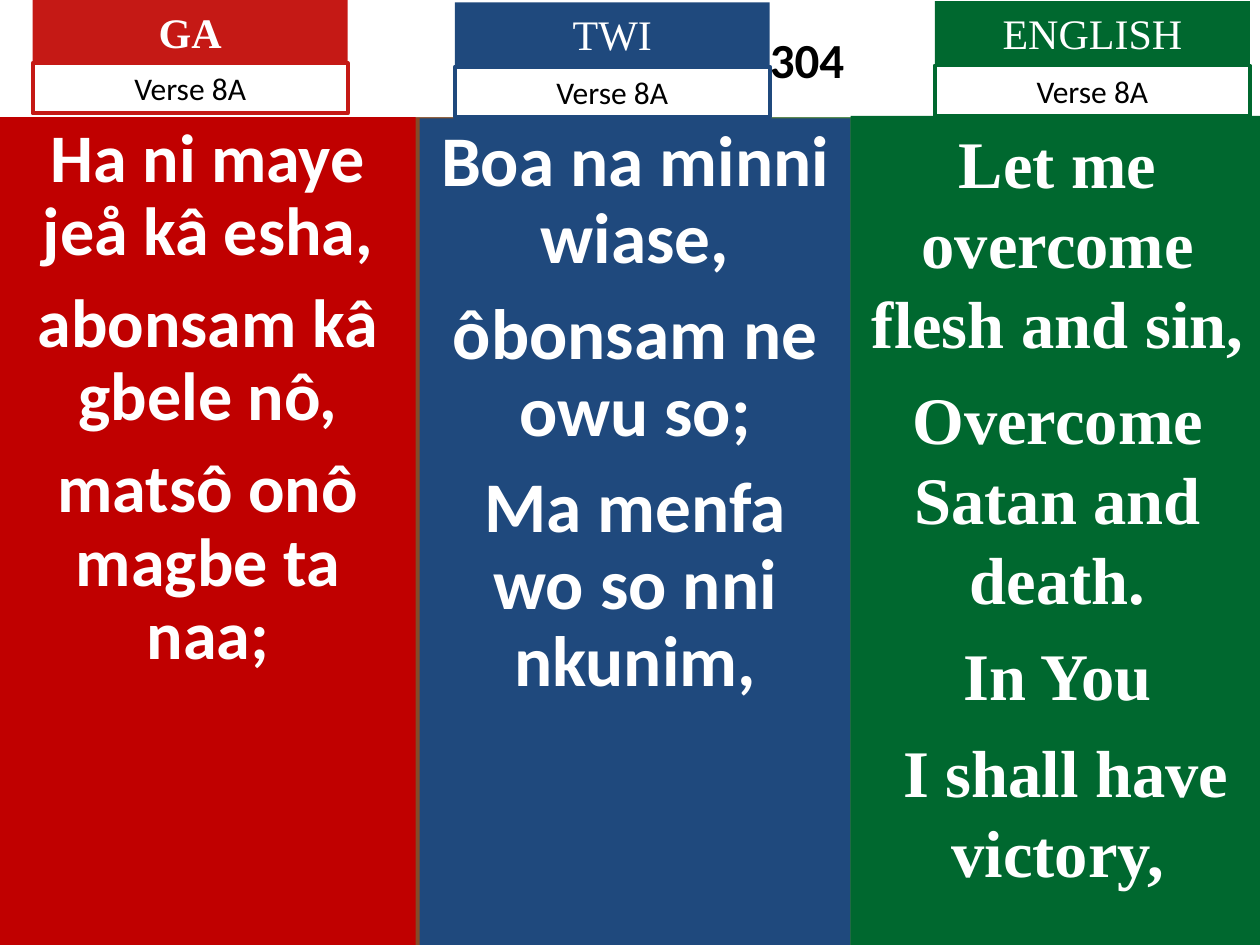
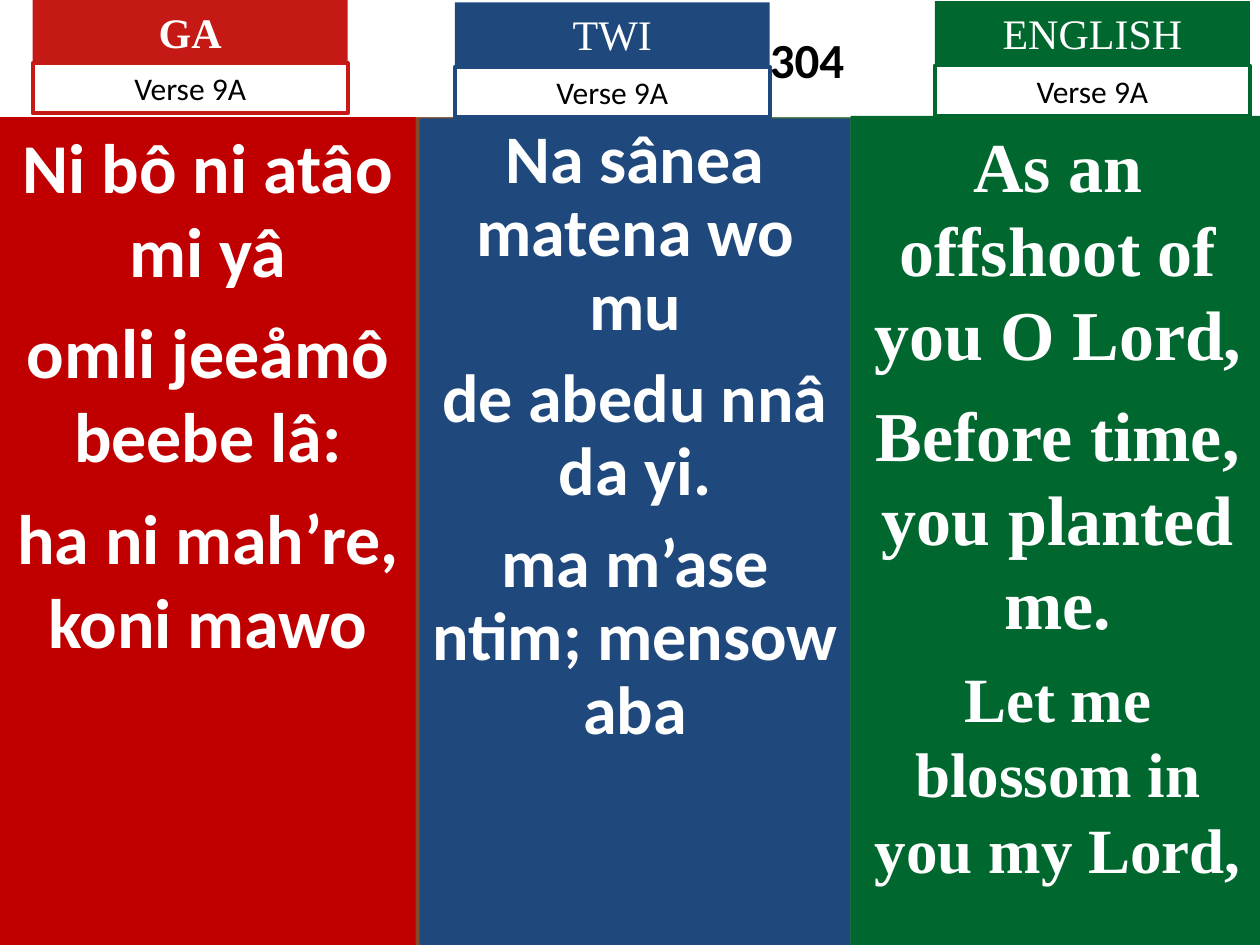
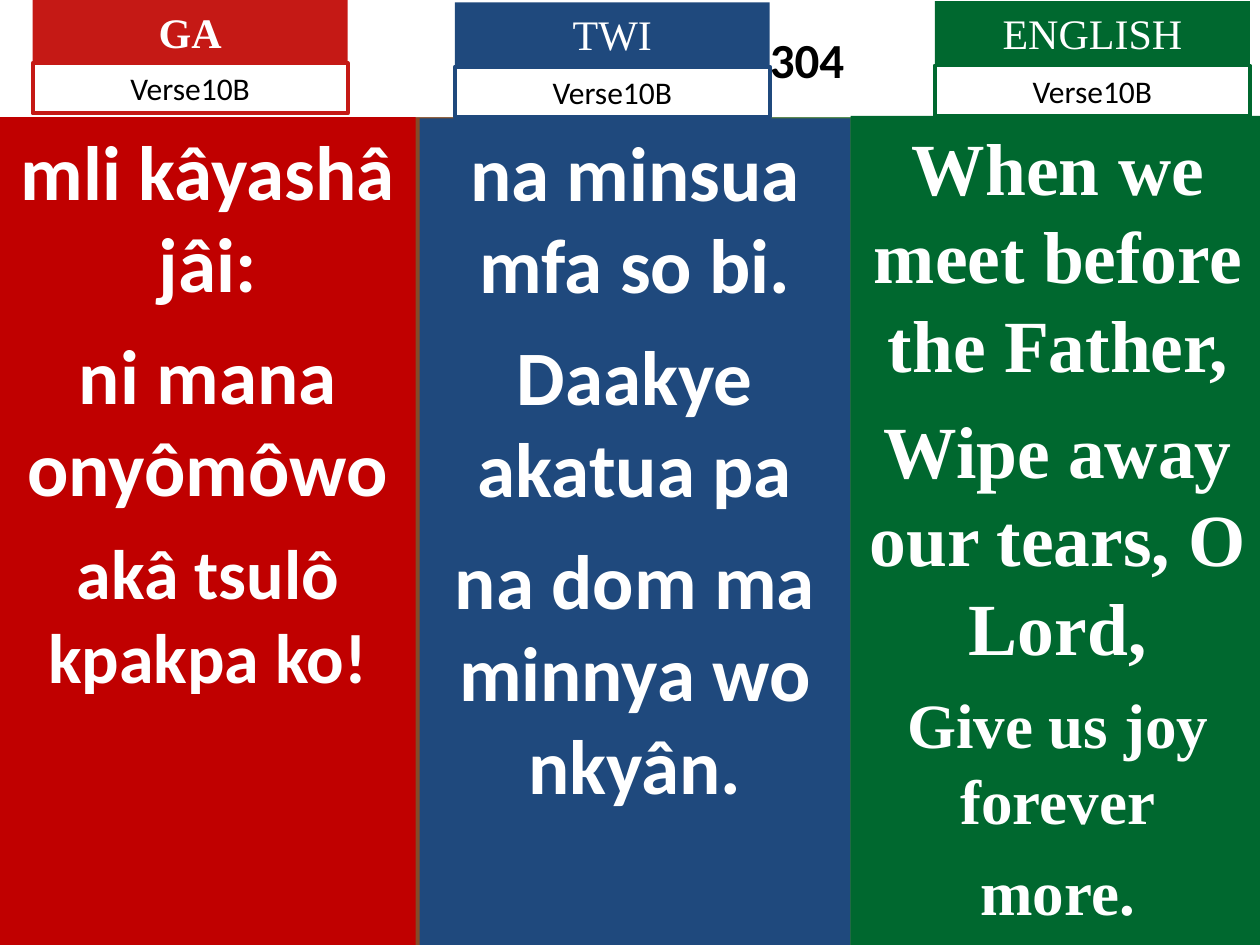
from dataclasses import dataclass

from pptx import Presentation
from pptx.dml.color import RGBColor
from pptx.enum.shapes import MSO_SHAPE as Shape
from pptx.enum.text import MSO_ANCHOR as Anchor, MSO_AUTO_SIZE as AutoSize, PP_ALIGN as Align
from pptx.util import Inches, Pt

COLORS = {
    "black": "000000",
    "white": "FFFFFF",
    "tag_red": "C51915",
    "panel_red": "C00000",
    "blue": "1F497D",
    "green": "00682F",
    "backdrop_end": "00B050",
}
SANS = "Calibri"
SERIF = "Times New Roman"
TITLE_BOX = (0, 0, 10, 0.93)
TITLE_INDENT = 6.11
TAG_WIDTH, TAG_HEIGHT, VERSE_HEIGHT = 2.5, 0.5, 0.4


@dataclass
class Language:
    name: str
    panel_box: tuple
    tag_position: tuple
    verse_top: float
    panel_color: str
    tag_color: str
    lyric_font: str
    bold_tag: bool = False


@dataclass
class Lyric:
    lines: list
    sizes: list
    line_spacing: float = 1.0


LANGUAGES = [
    Language("GA", (0, 0.93, 3.3, 6.57), (0.26, 0), 0.5, "panel_red", "tag_red", SANS, True),
    Language("TWI", (3.33, 0.94, 3.42, 6.56), (3.61, 0.02), 0.53, "blue", "blue", SANS),
    Language("ENGLISH", (6.75, 0.92, 3.29, 6.58), (7.42, 0.01), 0.52, "green", "green", SERIF),
]

VERSES = [
    ("Verse 8A", [
        Lyric(["Ha ni maye jeå kâ esha,", "abonsam kâ gbele nô,", "matsô onô magbe ta naa;"],
              [38.9] * 3, 0.9),
        Lyric(["Boa na minni wiase,", "ôbonsam ne owu so;", "Ma menfa wo so nni nkunim,"],
              [40.7] * 3, 0.9),
        Lyric(["Let me overcome flesh and sin,", "Overcome Satan and death.", "In You",
               " I shall have victory,"], [38] * 4),
    ]),
    ("Verse 9A", [
        Lyric(["Ni bô ni atâo mi yâ", "omli jeeåmô beebe lâ:", "ha ni mah’re, koni mawo"],
              [40] * 3),
        Lyric(["Na sânea matena wo mu", "de abedu nnâ da yi.", "ma m’ase ntim; mensow aba"],
              [38.9] * 3, 0.9),
        Lyric(["As an offshoot of you O Lord,", "Before time, you planted me.",
               "Let me blossom in you my Lord,"], [40, 40, 36]),
    ]),
    ("Verse10B", [
        Lyric(["mli kâyashâ jâi:", "ni mana onyômôwo", "akâ tsulô kpakpa ko!"], [44, 44, 40]),
        Lyric(["na minsua mfa so bi.", "Daakye akatua pa", "na dom ma minnya wo nkyân."],
              [44] * 3),
        Lyric(["When we meet before the Father,", "Wipe away our tears, O Lord,",
               "Give us joy forever", "more."], [42, 42, 36, 36]),
    ]),
]


def color(name):
    return RGBColor.from_string(COLORS[name])


def add_text(paragraph, text, size, font, color_name, bold=False, align=Align.CENTER):
    paragraph.alignment = align
    run = paragraph.add_run()
    run.text = text
    run.font.size = Pt(size)
    run.font.name = font
    run.font.bold = bold
    run.font.color.rgb = color(color_name)


def add_box(slide, box, fill=None, line=None):
    shape = slide.shapes.add_shape(Shape.RECTANGLE, *map(Inches, box))
    shape.shadow.inherit = False
    if fill:
        shape.fill.solid()
        shape.fill.fore_color.rgb = color(fill)
    else:
        shape.fill.background()
    if line:
        shape.line.color.rgb = color(line)
        shape.line.width = Pt(2.25)
    else:
        shape.line.fill.background()
    frame = shape.text_frame
    frame.word_wrap = True
    frame.vertical_anchor = Anchor.TOP
    return frame


def add_title(slide, box, number):
    title = slide.shapes.title
    title.left, title.top, title.width, title.height = map(Inches, box)
    title.fill.solid()
    title.fill.fore_color.rgb = color("white")
    frame = title.text_frame
    frame.auto_size = AutoSize.NONE
    frame.vertical_anchor = Anchor.MIDDLE
    frame.margin_left = Inches(TITLE_INDENT)
    add_text(frame.paragraphs[0], number, 28, SANS, "black", True, Align.LEFT)


def add_lyric_panel(slide, language, lyric):
    frame = add_box(slide, language.panel_box, fill=language.panel_color)
    space_ratio = 0.25 if lyric.line_spacing == 1 else 0.27
    for index, (line, size) in enumerate(zip(lyric.lines, lyric.sizes)):
        paragraph = frame.add_paragraph() if index else frame.paragraphs[0]
        paragraph.line_spacing = lyric.line_spacing
        paragraph.space_before = Pt(size * space_ratio if index else 0)
        add_text(paragraph, line, size, language.lyric_font, "white", True)


def add_language_tag(slide, language, verse):
    left, top = language.tag_position
    name_frame = add_box(slide, (left, top, TAG_WIDTH, TAG_HEIGHT), fill=language.tag_color)
    add_text(name_frame.paragraphs[0], language.name, 24, SERIF, "white", language.bold_tag)
    verse_frame = add_box(slide, (left, language.verse_top, TAG_WIDTH, VERSE_HEIGHT),
                          line=language.tag_color)
    add_text(verse_frame.paragraphs[0], verse, 18, SANS, "black")


def set_backdrop(slide):
    fill = slide.background.fill
    fill.gradient()
    fill.gradient_angle = 0
    for stop, name in zip(fill.gradient_stops, ("tag_red", "backdrop_end")):
        stop.color.rgb = color(name)


def add_verse_slide(presentation, verse, lyrics):
    slide = presentation.slides.add_slide(presentation.slide_layouts[5])
    set_backdrop(slide)
    add_title(slide, TITLE_BOX, "304")
    for language, lyric in zip(LANGUAGES, lyrics):
        add_lyric_panel(slide, language, lyric)
        add_language_tag(slide, language, verse)


def main():
    presentation = Presentation()
    presentation.slide_width = Inches(10)
    presentation.slide_height = Inches(7.5)
    for verse, lyrics in VERSES:
        add_verse_slide(presentation, verse, lyrics)
    presentation.save("out.pptx")


if __name__ == "__main__":
    main()
